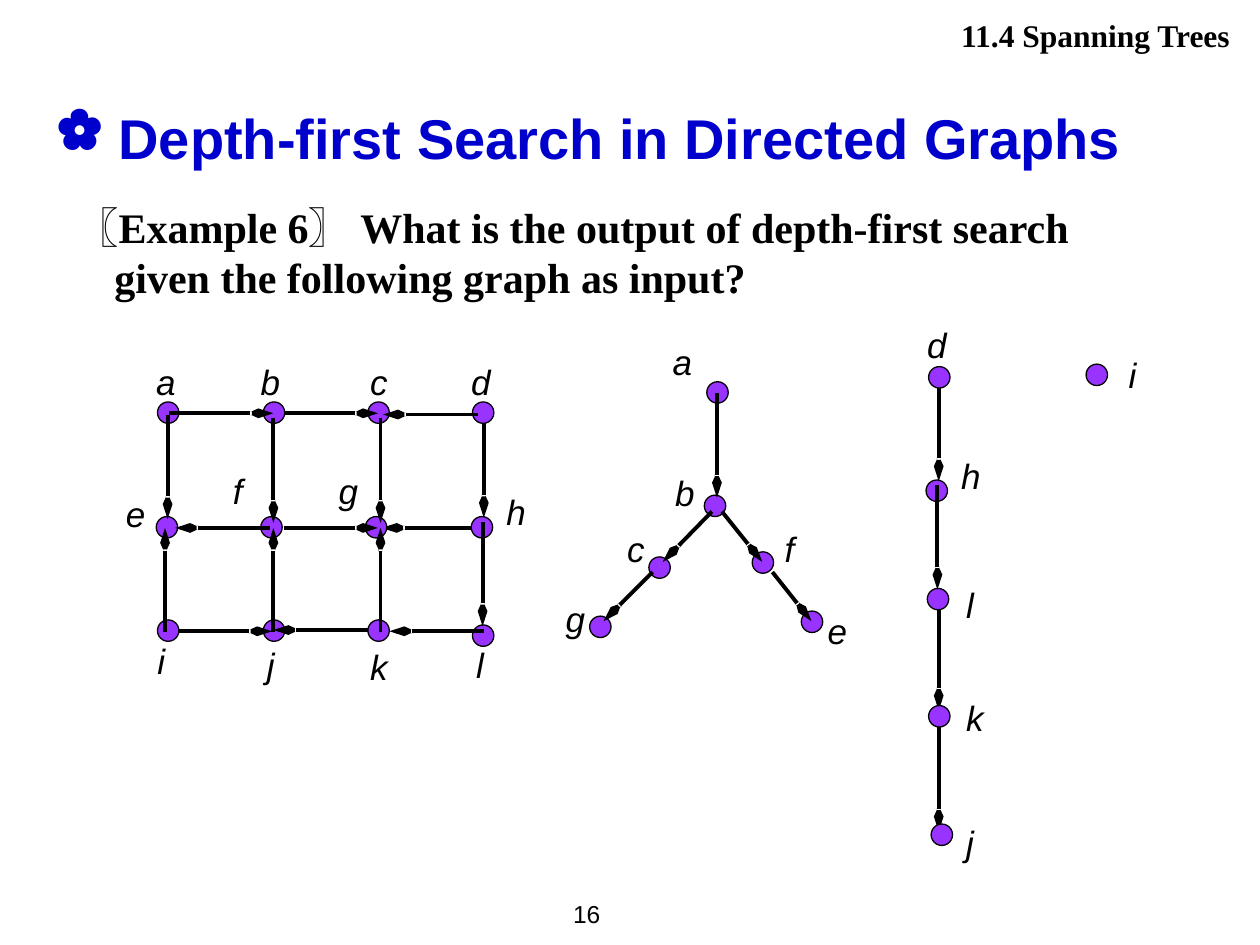
"""Builds a slide on depth-first search in directed graphs."""
from dataclasses import dataclass

import pptx
import pptx.dml.color
import pptx.enum.shapes
import pptx.enum.text
import pptx.oxml
import pptx.oxml.ns
import pptx.util

COLS, ROWS = 100, 75
WIDTH, HEIGHT = pptx.util.Inches(10), pptx.util.Inches(7.5)
NODE = 1.7
LABEL_W, LABEL_H = 5, 4.4
LONG, SHORT = 8.3, 7.5


@dataclass(frozen=True)
class Theme:
    ink: str = "000000"
    title: str = "0000CC"
    node: str = "9933FF"
    sans: str = "Arial"
    serif: str = "Times New Roman"
    title_size: float = 32
    body_size: float = 24
    label_size: float = 20
    header_size: float = 18
    page_size: float = 14
    edge_width: float = 2.25
    outline_width: float = 0.75


@dataclass(frozen=True)
class Node:
    label: str
    x: float
    y: float
    label_x: float
    label_y: float


@dataclass(frozen=True)
class Edge:
    x: float
    y: float
    dx: float
    dy: float
    behind: bool = False


@dataclass(frozen=True)
class Graph:
    nodes: tuple[Node, ...]
    edges: tuple[Edge, ...] = ()


THEME = Theme()

GRAPHS = (
    Graph(
        (Node("a", 12.5, 31.9, 11.4, 28.1), Node("b", 20.9, 31.9, 19.7, 28.1),
         Node("c", 29.2, 31.9, 28.4, 28.1), Node("d", 37.5, 31.9, 36.4, 28.1),
         Node("e", 12.4, 41, 9, 38.6), Node("f", 20.7, 41, 17.5, 36.8),
         Node("g", 29, 41, 25.9, 36.8), Node("h", 37.4, 41, 39.2, 38.4),
         Node("i", 12.5, 49.2, 11.5, 50.3), Node("j", 20.9, 49.2, 20.2, 50.6),
         Node("k", 29.2, 49.2, 28.4, 50.7), Node("l", 37.5, 49.6, 36.8, 50.6)),
        (Edge(37.8, 41.9, -SHORT, 0, True), Edge(38.4, 32.8, 0, LONG, True),
         Edge(13.4, 32.8, LONG, 0), Edge(22.5, 32.8, SHORT, 0),
         Edge(37.9, 32.9, -SHORT, 0),
         Edge(13.3, 32.9, 0, LONG), Edge(21.7, 33.2, 0, LONG),
         Edge(30.2, 33.2, 0, LONG),
         Edge(21.4, 41.9, -SHORT, 0), Edge(22.5, 41.9, SHORT, 0),
         Edge(13.1, 50.2, 0, -LONG), Edge(21.7, 50.2, 0, -LONG),
         Edge(30.2, 50.2, 0, -LONG), Edge(38.3, 41.4, 0, LONG),
         Edge(14.1, 50.1, SHORT, 0), Edge(29.2, 50, -SHORT, 0),
         Edge(38.4, 50.1, -SHORT, 0)),
    ),
    Graph((Node("i", 86.2, 28.9, 88.6, 27.6),)),
    Graph(
        (Node("a", 56.1, 30.3, 52.4, 26.5), Node("b", 55.9, 39.3, 52.6, 36.9),
         Node("c", 51.5, 44.2, 48.8, 41.4), Node("f", 59.7, 43.8, 61.3, 41.4),
         Node("g", 46.8, 48.9, 43.9, 46.9), Node("e", 63.6, 48.5, 64.7, 47.9)),
        (Edge(56.9, 31.2, 0, LONG),
         Edge(56.5, 40.6, -3.9, 4), Edge(51.8, 45.4, -3.9, 3.9),
         Edge(57.3, 40.6, 3.2, 4), Edge(61.3, 45.4, 3.1, 3.9)),
    ),
    Graph(
        (Node("d", 73.7, 29.1, 72.6, 25.2), Node("h", 73.5, 38.1, 75.3, 35.6),
         Node("l", 73.6, 46.7, 75.7, 45.8), Node("k", 73.7, 56, 75.7, 54.8),
         Node("j", 73.9, 65.4, 75.7, 64.7)),
        (Edge(74.5, 29.9, 0, LONG, True), Edge(74.4, 38.5, 0, LONG),
         Edge(74.5, 48.1, 0, LONG, True), Edge(74.5, 57.7, 0, LONG, True)),
    ),
)


def col(n: float) -> int:
    """Return the length of n grid columns."""
    return round(WIDTH * n / COLS)


def row(n: float) -> int:
    """Return the length of n grid rows."""
    return round(HEIGHT * n / ROWS)


def box(x: float, y: float, w: float, h: float) -> tuple[int, int, int, int]:
    """Return a frame measured in grid cells as slide lengths."""
    return col(x), row(y), col(w), row(h)


def rgb(value: str) -> pptx.dml.color.RGBColor:
    """Return a colour from its hexadecimal form."""
    return pptx.dml.color.RGBColor.from_string(value)


def add_xml(parent, tag: str, **attributes: str) -> None:
    """Append a drawing element to a parent element."""
    element = pptx.oxml.parse_xml(f"<a:{tag} {pptx.oxml.ns.nsdecls('a')}/>")
    for name, value in attributes.items():
        element.set(name, value)
    parent.append(element)


def write(sp, text: str, *, size: float, font: str = THEME.sans,
          color: str = THEME.ink, bold: bool = False, italic: bool = False,
          align: str = "LEFT", anchor: str = "TOP", margin: float = 0,
          indent: float = 0, bullet: str = "") -> None:
    """Put one formatted paragraph into a shape."""
    tf = sp.text_frame
    tf.word_wrap = True
    tf.auto_size = pptx.enum.text.MSO_AUTO_SIZE.NONE
    tf.vertical_anchor = getattr(pptx.enum.text.MSO_ANCHOR, anchor)
    p = tf.paragraphs[0]
    p.alignment = getattr(pptx.enum.text.PP_ALIGN, align)
    p.space_before = pptx.util.Pt(0)
    pPr = p._p.get_or_add_pPr()
    pPr.set("marL", str(col(margin)))
    pPr.set("indent", str(col(indent)))
    if bullet:
        add_xml(pPr, "buChar", char=bullet)
    r = p.add_run()
    r.text = text
    r.font.name, r.font.size = font, pptx.util.Pt(size)
    r.font.bold, r.font.italic = bold, italic
    r.font.color.rgb = rgb(color)


def draw_edge(shapes, edge: Edge) -> None:
    """Draw one arrow of a graph."""
    line = shapes.add_connector(
        pptx.enum.shapes.MSO_CONNECTOR.STRAIGHT, col(edge.x), row(edge.y),
        col(edge.x + edge.dx), row(edge.y + edge.dy))
    line.line.color.rgb = rgb(THEME.ink)
    line.line.width = pptx.util.Pt(THEME.edge_width)
    add_xml(line.line._get_or_add_ln(), "tailEnd", type="arrow", w="sm", len="lg")
    add_xml(line._element.spPr, "effectLst")


def draw_node(shapes, node: Node) -> None:
    """Draw one vertex and its label."""
    sp = shapes.add_shape(pptx.enum.shapes.MSO_SHAPE.OVAL,
                          *box(node.x, node.y, NODE, NODE))
    sp.shadow.inherit = False
    sp.fill.solid()
    sp.fill.fore_color.rgb = rgb(THEME.node)
    sp.line.color.rgb = rgb(THEME.ink)
    sp.line.width = pptx.util.Pt(THEME.outline_width)
    label = shapes.add_textbox(*box(node.label_x, node.label_y, LABEL_W, LABEL_H))
    write(label, node.label, size=THEME.label_size, italic=True)


def draw_graph(s, graph: Graph) -> None:
    """Draw a graph as one group."""
    shapes = s.shapes.add_group_shape().shapes
    for edge in (e for e in graph.edges if e.behind):
        draw_edge(shapes, edge)
    for node in graph.nodes:
        draw_node(shapes, node)
    for edge in (e for e in graph.edges if not e.behind):
        draw_edge(shapes, edge)


def main() -> None:
    """Build and save the slide."""
    prs = pptx.Presentation()
    prs.slide_width, prs.slide_height = WIDTH, HEIGHT
    s = prs.slides.add_slide(prs.slide_layouts.get_by_name("Title Only"))
    title = s.shapes.title
    title.left, title.top, title.width, title.height = box(3.5, 7.7, 93, 7.7)
    write(title, "Depth-first Search in Directed Graphs", size=THEME.title_size,
          color=THEME.title, bold=True, margin=4.9, indent=-4.9, bullet="✿")
    write(s.shapes.add_textbox(*box(4.3, 15.5, 86.6, 9.5)),
          "〖Example 6〗 What is the output of depth-first search "
          "given the following graph as input?",
          size=THEME.body_size, font=THEME.serif, bold=True, margin=3.8, indent=-3)
    for graph in GRAPHS:
        draw_graph(s, graph)
    write(s.shapes.add_textbox(*box(39.8, 0.8, 58.8, 4)), "11.4 Spanning Trees",
          size=THEME.header_size, font=THEME.serif, bold=True, align="RIGHT")
    write(s.shapes.add_textbox(*box(44.5, 70, 6.7, 5)), "16",
          size=THEME.page_size, anchor="MIDDLE")
    prs.save("out.pptx")


if __name__ == "__main__":
    main()
